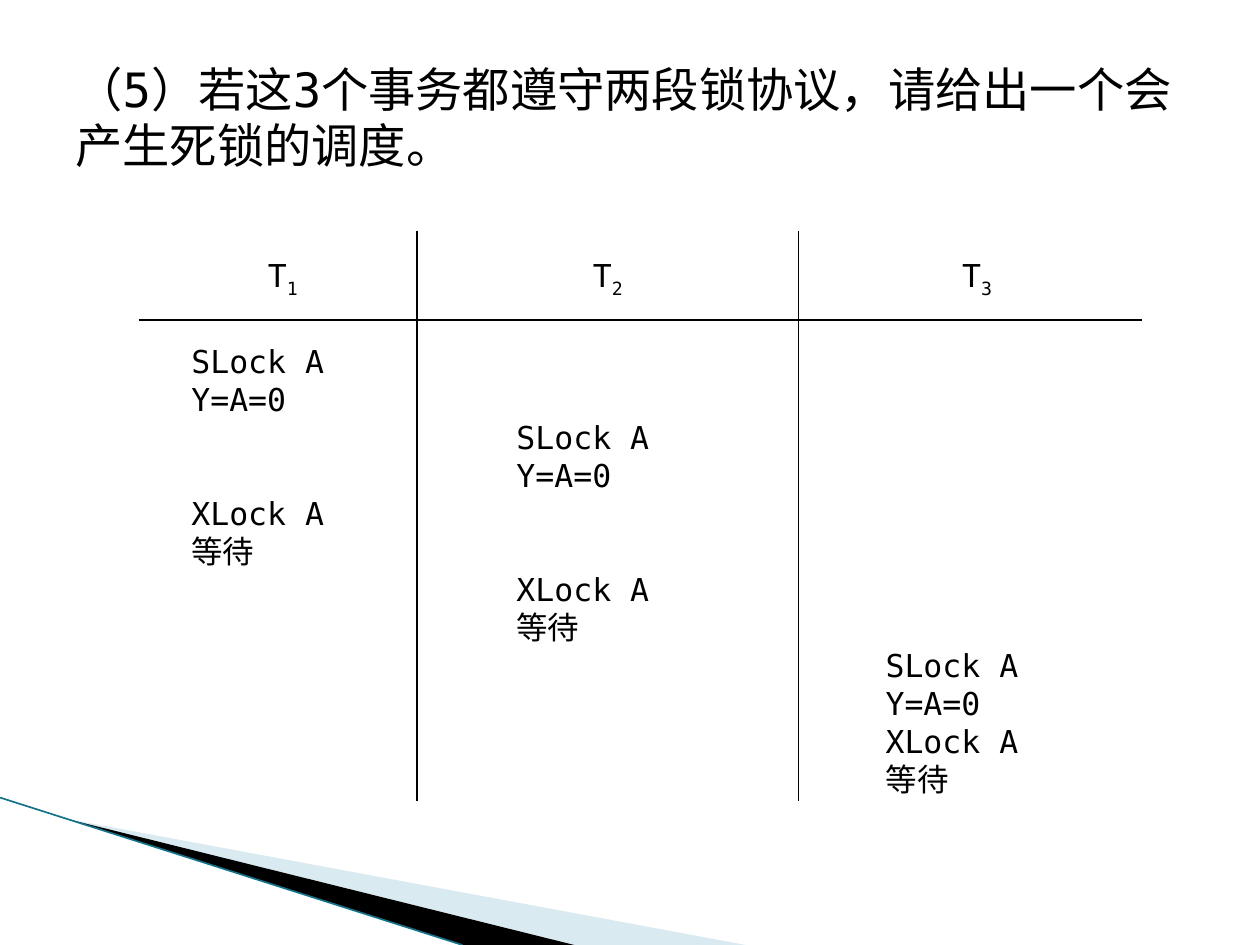
from lxml import etree
from pptx import Presentation, util as u
from pptx.dml.color import RGBColor
from pptx.enum import shapes, text
from pptx.oxml import ns

COLS, ROWS = 100, 75
CELL = u.Inches(0.1)
FONT = "DejaVu Sans Mono"
BLACK = RGBColor(0x00, 0x00, 0x00)
WHITE = RGBColor(0xFF, 0xFF, 0xFF)
PALE = RGBColor(0xA0, 0xCB, 0xDC)
TEAL = RGBColor(0x12, 0x74, 0x8A)
PITCH = 21.7
HEADER_GAP = 2.9

TITLE = "（5）若这3个事务都遵守两段锁协议，请给出一个会产生死锁的调度。"
READ = ["SLock A", "Y=A=0"]
WRITE = ["XLock A", "等待"]
SCHEDULE = [
    ("1", 3.2, [(2, READ), (6, WRITE)]),
    ("2", 29, [(4, READ), (8, WRITE)]),
    ("3", 58.3, [(10, READ), (12, WRITE)]),
]


def cells(*values):
    """Convert grid cells to whole EMU lengths."""
    return [round(v * CELL) for v in values]


def add_line(s, start, end, color=BLACK, width=0.75):
    """Draw a plain straight line between two grid points."""
    sp = s.shapes.add_connector(
        shapes.MSO_CONNECTOR.STRAIGHT, *cells(*start, *end))
    sp.line.color.rgb = color
    sp.line.width = u.Pt(width)
    etree.SubElement(sp._element.spPr, ns.qn("a:effectLst"))


def add_wedge(s, points, color, opacity=100):
    """Draw a filled, borderless polygon through grid points."""
    first, *rest = [cells(*p) for p in points]
    builder = s.shapes.build_freeform(*first)
    builder.add_line_segments(rest, close=True)
    sp = builder.convert_to_shape()
    sp.shadow.inherit = False
    sp.fill.solid()
    sp.fill.fore_color.rgb = color
    sp.line.fill.background()
    if opacity < 100:
        clr = sp._element.spPr.find(".//" + ns.qn("a:srgbClr"))
        etree.SubElement(clr, ns.qn("a:alpha"), val=str(opacity * 1000))


def add_text(s, box):
    """Add a wrapping text box and return its text frame."""
    tf = s.shapes.add_textbox(*cells(*box)).text_frame
    tf.word_wrap = True
    return tf


def style(p, size):
    """Apply the slide's font to a paragraph."""
    p.font.name = FONT
    p.font.size = u.Pt(size)
    p.font.color.rgb = BLACK


def draw_corner(s, box):
    """Draw the swoosh in the lower left corner."""
    x, y, w, h = box
    bottom = y + h
    tip = (x + 0.145 * w * 0.62, y + 0.145 * h)
    add_wedge(s, [tip, (x + w, bottom), (x + 0.77 * w, bottom)], PALE, 40)
    add_wedge(s, [tip, (x + 0.77 * w, bottom), (x + 0.62 * w, bottom)], BLACK)
    add_line(s, (x, y), (x + 0.62 * w, bottom), TEAL, 0.95)


def draw_title(s, box):
    """Write the question, centred vertically."""
    tf = add_text(s, box)
    tf.vertical_anchor = text.MSO_ANCHOR.MIDDLE
    p = tf.paragraphs[0]
    p.text = TITLE
    style(p, 27)


def draw_transaction(s, box, number, steps):
    """Write one transaction's heading and its timed operations."""
    tf = add_text(s, box)
    p = tf.paragraphs[0]
    p.alignment = text.PP_ALIGN.CENTER
    p.line_spacing = u.Pt(PITCH)
    style(p, 18)
    p.add_run().text = "T"
    r = p.add_run()
    r.text = number
    r.font._element.set("baseline", "-25000")
    last, extra = 0, HEADER_GAP
    for start, operations in steps:
        for row, operation in enumerate(operations, start):
            p = tf.add_paragraph()
            p.text = operation
            p.line_spacing = u.Pt(PITCH)
            p.space_before = u.Pt((row - last - 1) * PITCH + extra)
            style(p, 18)
            last, extra = row, 0


def draw_schedule(s, box):
    """Draw the ruled schedule with one column per transaction."""
    x, y, w, h = box
    add_line(s, (x, y + 7.1), (x + w, y + 7.1))
    for dx in (22.1, 52.4):
        add_line(s, (x + dx, y), (x + dx, y + h))
    for number, dx, steps in SCHEDULE:
        draw_transaction(s, (x + dx, y + 1.9, 16.5, h - 1.9), number, steps)


def main():
    """Build and save the slide."""
    prs = Presentation()
    prs.slide_width, prs.slide_height = COLS * CELL, ROWS * CELL
    s = prs.slides.add_slide(prs.slide_layouts[6])
    s.background.fill.solid()
    s.background.fill.fore_color.rgb = WHITE
    draw_corner(s, (0, 63.3, 59.2, 11.7))
    draw_title(s, (5, 3, 90, 12.5))
    draw_schedule(s, (11, 18.3, 79.6, 45.3))
    prs.save("out.pptx")


if __name__ == "__main__":
    main()
